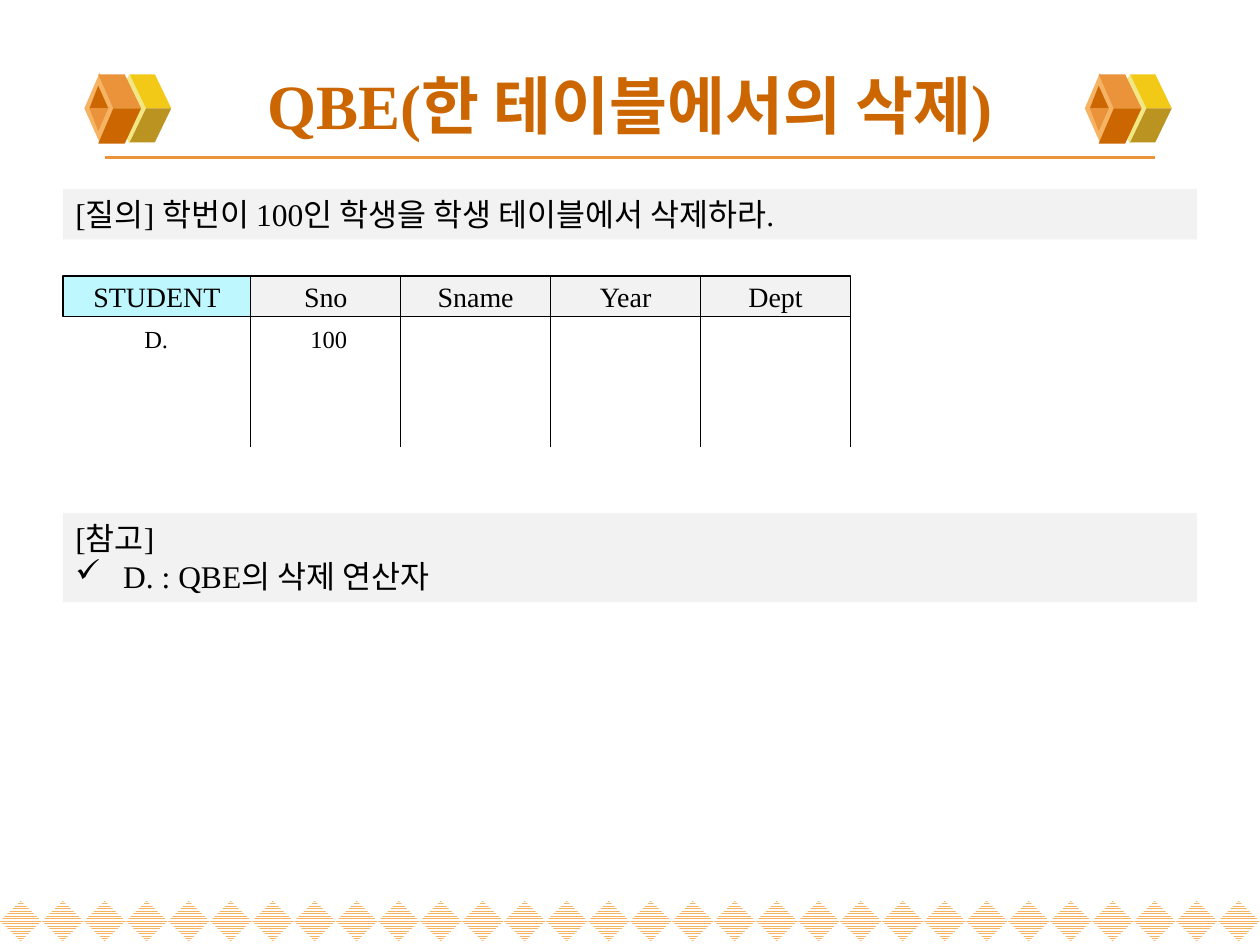
from lxml.etree import SubElement
from pptx import Presentation
from pptx.dml.color import RGBColor
from pptx.enum.dml import MSO_PATTERN
from pptx.enum.shapes import MSO_CONNECTOR, MSO_SHAPE
from pptx.enum.text import MSO_ANCHOR, MSO_AUTO_SIZE, PP_ALIGN
from pptx.oxml.ns import qn
from pptx.util import Inches, Pt


def paint(target, color):
    """Give a fill, line or font one solid colour."""
    if hasattr(target, "solid"):
        target.solid()
        target = target.fore_color
    else:
        target = target.color
    target.rgb = RGBColor.from_string(color)


def write(shape, lines, size, color="000000", align=PP_ALIGN.CENTER, anchor=MSO_ANCHOR.MIDDLE):
    """Set the text of a shape, one paragraph for each line."""
    frame = shape.text_frame
    frame.text = "\n".join(lines)
    frame.word_wrap = True
    frame.vertical_anchor = anchor
    for para in frame.paragraphs:
        para.alignment = align
        para.font.name = "Times New Roman"
        para.font.size = Pt(size)
        paint(para.font, color)
    return frame


deck = Presentation()
deck.slide_width, deck.slide_height = Inches(10), Inches(7.5)
page = deck.slides.add_slide(deck.slide_layouts[5])
shapes = page.shapes

# Title
title = shapes.title
title.left, title.top, title.width, title.height = map(Inches, (0.5, 0.4, 9, 0.85))
write(title, ["QBE(한 테이블에서의 삭제)"], 36, "CC6600").paragraphs[0].font.bold = True

# Row of hatched diamonds along the bottom
for index in range(30):
    diamond = shapes.add_shape(MSO_SHAPE.DIAMOND, Inches(index / 3), Inches(7.15),
                               Inches(0.33), Inches(0.32))
    diamond.shadow.inherit = False
    diamond.line.fill.background()
    diamond.fill.patterned()
    diamond.fill.pattern = MSO_PATTERN.NARROW_HORIZONTAL
    diamond.fill.fore_color.rgb = RGBColor.from_string("F5B363")
    diamond.fill.back_color.rgb = RGBColor.from_string("FFFFFF")

# Cube ornaments on both sides of the title, back to front
cube_faces = [
    ("F1E785", [(1.03, 0.59), (1.19, 0.86), (1.03, 1.14), (0.86, 0.86)]),
    ("F3C917", [(1.16, 0.86), (1.36, 0.86), (1.23, 0.59), (1.03, 0.59)]),
    ("BB9321", [(1.16, 0.86), (1.36, 0.86), (1.23, 1.13), (1.03, 1.13)]),
    ("F5B363", [(0.79, 0.58), (0.91, 0.86), (0.79, 1.13), (0.67, 0.86)]),
    ("EB933B", [(0.9, 0.86), (1.12, 0.86), (0.99, 0.59), (0.78, 0.59)]),
    ("CC6600", [(0.9, 0.86), (1.12, 0.86), (0.99, 1.14), (0.78, 1.14)]),
    ("CC6600", [(0.78, 0.68), (0.71, 0.86), (0.86, 0.86)]),
    ("EB933B", [(0.78, 1.04), (0.71, 0.86), (0.86, 0.86)]),
]
for shift in (0, 7.94):
    for color, corners in cube_faces:
        points = [(Inches(x + shift), Inches(y)) for x, y in corners]
        outline = shapes.build_freeform(*points[0])
        outline.add_line_segments(points[1:], close=True)
        face = outline.convert_to_shape()
        face.shadow.inherit = False
        paint(face.fill, color)
        face.line.fill.background()

# Header cells of the STUDENT table skeleton
headers = ["STUDENT", "Sno", "Sname", "Year", "Dept"]
edges = [0.5] + [1.99 + 1.19 * column for column in range(5)]
for name, left, right in zip(headers, edges, edges[1:]):
    cell = shapes.add_shape(MSO_SHAPE.RECTANGLE, Inches(left), Inches(2.19),
                            Inches(right - left), Inches(0.32))
    cell.shadow.inherit = False
    paint(cell.fill, "BEF8FE" if name == "STUDENT" else "F2F2F2")
    paint(cell.line, "000000")
    cell.line.width = Pt(0.75)
    write(cell, [name], 16)

# Rule under the title and column separators
rules = [(0.83, 1.25, 9.17, 1.25, "EB933B", 2.25)]
rules += [(x, 2.51, x, 3.55, "000000", 0.75) for x in edges[1:]]
for x1, y1, x2, y2, color, width in rules:
    rule = shapes.add_connector(MSO_CONNECTOR.STRAIGHT, Inches(x1), Inches(y1),
                                Inches(x2), Inches(y2))
    paint(rule.line, color)
    rule.line.width = Pt(width)
    SubElement(rule._element.spPr, qn("a:effectLst"))

# Table entries
for entry, left in (("D.", 0.69), ("100", 2.06)):
    box = shapes.add_textbox(Inches(left), Inches(2.52), Inches(1.1), Inches(0.34))
    write(box, [entry], 14, anchor=MSO_ANCHOR.TOP)

# Query and note panels
panels = [
    (1.5, 0.4, ["[질의] 학번이 100인 학생을 학생 테이블에서 삭제하라."]),
    (4.07, 0.71, ["[참고]", "D. : QBE의 삭제 연산자"]),
]
for top, height, lines in panels:
    panel = shapes.add_shape(MSO_SHAPE.RECTANGLE, Inches(0.5), Inches(top),
                             Inches(9), Inches(height))
    panel.shadow.inherit = False
    paint(panel.fill, "F2F2F2")
    panel.line.fill.background()
    frame = write(panel, lines, 18, align=PP_ALIGN.LEFT, anchor=MSO_ANCHOR.TOP)
    frame.auto_size = MSO_AUTO_SIZE.SHAPE_TO_FIT_TEXT

# Check mark bullet on the last line of the note
props = frame.paragraphs[1]._p.get_or_add_pPr()
props.set("marL", str(Inches(0.38)))
props.set("indent", str(-Inches(0.38)))
bullet = props.makeelement(qn("a:buChar"), {"char": "✓"})
props.insert(0, bullet)

deck.save("out.pptx")
